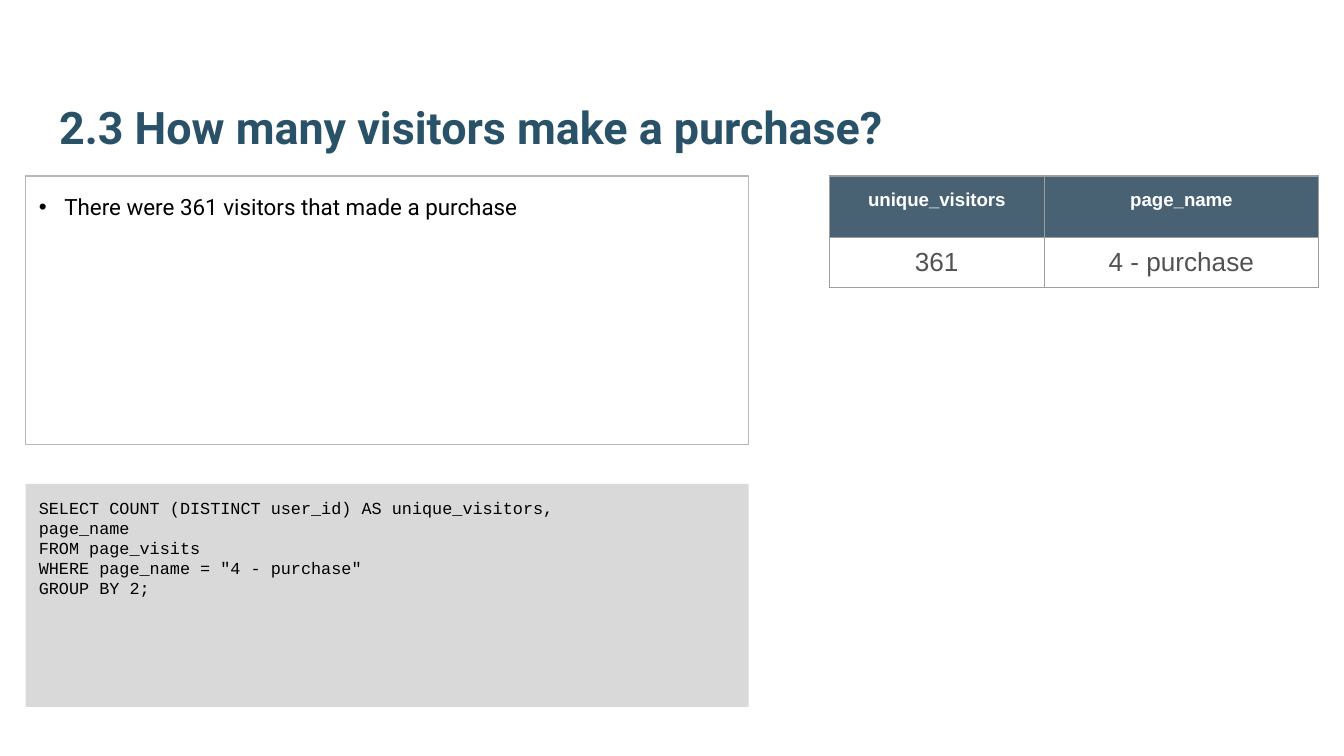
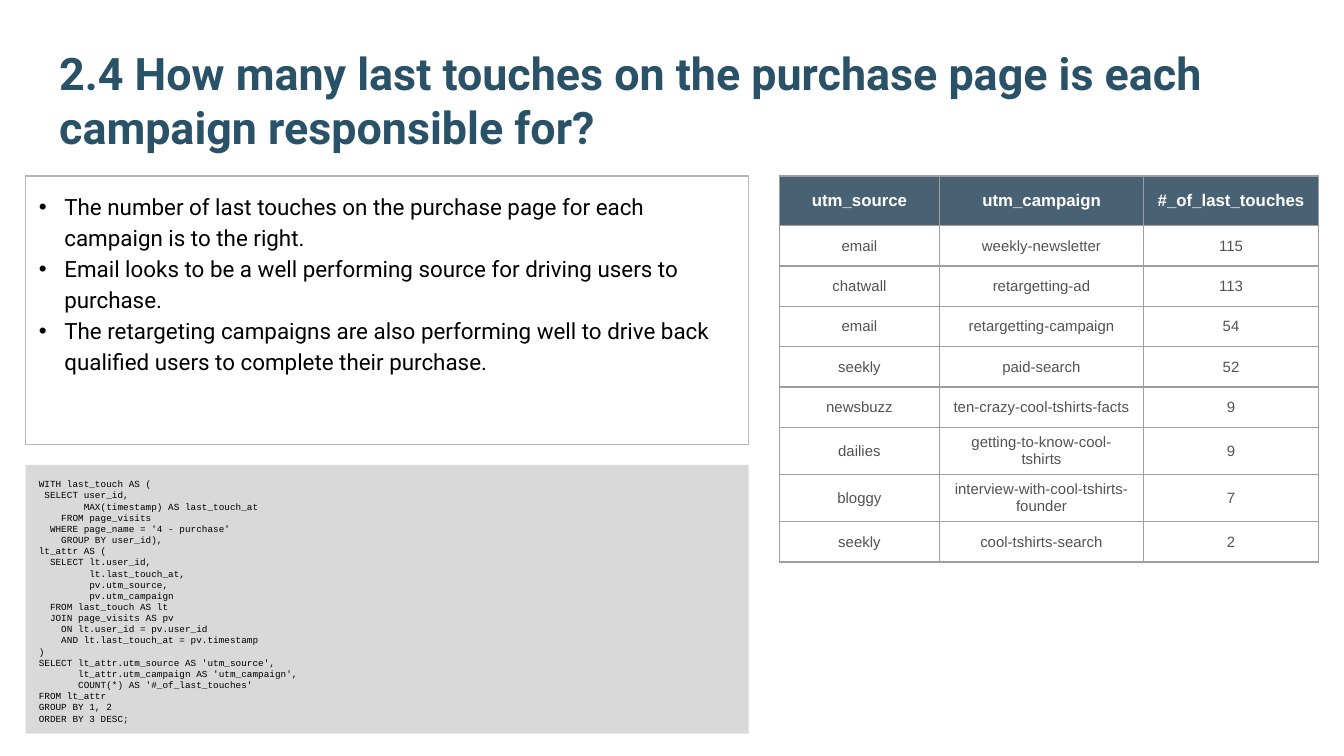
from dataclasses import dataclass
from typing import Any

from lxml.etree import SubElement
from pptx import Presentation
from pptx.dml.color import RGBColor
from pptx.enum.shapes import MSO_SHAPE
from pptx.enum.text import MSO_ANCHOR, MSO_AUTO_SIZE, PP_ALIGN
from pptx.oxml.ns import qn
from pptx.util import Inches, Pt


@dataclass(frozen=True)
class Theme:
    title: str = "295269"
    text: str = "000000"
    code_fill: str = "D9D9D9"
    box_line: str = "B7B7B7"
    header_fill: str = "204056"
    header_alpha: int = 82
    header_text: str = "FFFFFF"
    cell_text: str = "525252"
    grid: str = "9E9E9E"
    line_width: float = 0.75
    title_size: int = 24
    bullet_size: int = 12
    sans: str = "Roboto"
    mono: str = "Courier New"
    table_font: str = "Arial"
    bullet_font: str = "Arial"


@dataclass(frozen=True)
class Box:
    left: float
    top: float
    width: float
    height: float

    def emu(self) -> tuple[int, ...]:
        return tuple(Inches(v) for v in (self.left, self.top, self.width, self.height))


@dataclass(frozen=True)
class CodePanel:
    box: Box
    size: int
    code: str


@dataclass(frozen=True)
class ResultTable:
    cols: list[float]
    header_height: float
    row_height: float
    header_size: int
    body_size: int
    rows: list[list[str]]
    header_format: dict[str, Any]


@dataclass(frozen=True)
class QuestionSlide:
    title: str
    findings: list[str]
    panel: CodePanel
    table: ResultTable


THEME = Theme()
SLIDE_WIDTH = Inches(10)
SLIDE_HEIGHT = SLIDE_WIDTH * 9 // 16
TITLE_BOX = Box(0.34, 0.32, 9.32, 0.92)
FINDINGS_BOX = Box(0.19, 1.31, 5.38, 2)
TABLE_RIGHT = 9.81
BULLET_INDENT = Inches(0.19)
MARGINS = {f"margin_{side}": Inches(0.1) for side in ("left", "top", "right", "bottom")}
MIDDLE = {"vertical_anchor": MSO_ANCHOR.MIDDLE}

SLIDES = [
    QuestionSlide(
        "2.3 How many visitors make a purchase?",
        ["There were 361 visitors that made a purchase"],
        CodePanel(Box(0.19, 3.6, 5.38, 1.66), 9, """\
SELECT COUNT (DISTINCT user_id) AS unique_visitors,
page_name
FROM page_visits
WHERE page_name = "4 - purchase"
GROUP BY 2;"""),
        ResultTable([1.6, 2.04], 0.46, 0.37, 10, 14, [
            ["unique_visitors", "page_name"],
            ["361", "4 - purchase"],
        ], MARGINS),
    ),
    QuestionSlide(
        "2.4 How many last touches on the purchase page is each campaign responsible for?",
        [
            "The number of last touches on the purchase page for each campaign is to the right.",
            "Email looks to be a well performing source for driving users to purchase.",
            "The retargeting campaigns are also performing well to drive back qualified users "
            "to complete their purchase.",
        ],
        CodePanel(Box(0.19, 3.46, 5.38, 2), 5, """\
WITH last_touch AS (
 SELECT user_id,
        MAX(timestamp) AS last_touch_at
    FROM page_visits
  WHERE page_name = '4 - purchase'
    GROUP BY user_id),
lt_attr AS (
  SELECT lt.user_id,
         lt.last_touch_at,
         pv.utm_source,
         pv.utm_campaign
  FROM last_touch AS lt
  JOIN page_visits AS pv
    ON lt.user_id = pv.user_id
    AND lt.last_touch_at = pv.timestamp
)
SELECT lt_attr.utm_source AS 'utm_source',
       lt_attr.utm_campaign AS 'utm_campaign',
       COUNT(*) AS '#_of_last_touches'
FROM lt_attr
GROUP BY 1, 2
ORDER BY 3 DESC;"""),
        ResultTable([1.19, 1.52, 1.3], 0.37, 0.3, 9, 8, [
            ["utm_source", "utm_campaign", "#_of_last_touches"],
            ["email", "weekly-newsletter", "115"],
            ["chatwall", "retargetting-ad", "113"],
            ["email", "retargetting-campaign", "54"],
            ["seekly", "paid-search", "52"],
            ["newsbuzz", "ten-crazy-cool-tshirts-facts", "9"],
            ["dailies", "getting-to-know-cool-tshirts", "9"],
            ["bloggy", "interview-with-cool-tshirts-founder", "7"],
            ["seekly", "cool-tshirts-search", "2"],
        ], MIDDLE),
    ),
]


def apply_format(target: Any, values: dict[str, Any]) -> None:
    for name, value in values.items():
        setattr(target, name, value)


def add_run(p: Any, text: str, font: str, size: int, color: str, bold: bool = False) -> None:
    r = p.add_run()
    r.text = text
    apply_format(r.font, {"name": font, "size": Pt(size), "bold": bold})
    r.font.color.rgb = RGBColor.from_string(color)


def set_title(s: Any, text: str) -> None:
    sp = s.shapes.title
    apply_format(sp, dict(zip(("left", "top", "width", "height"), TITLE_BOX.emu())))
    tf = sp.text_frame
    apply_format(tf, MARGINS | {"word_wrap": True, "auto_size": MSO_AUTO_SIZE.NONE,
                                "vertical_anchor": MSO_ANCHOR.BOTTOM})
    p = tf.paragraphs[0]
    p.alignment = PP_ALIGN.LEFT
    add_run(p, text, THEME.sans, THEME.title_size, THEME.title, bold=True)


def add_panel(s: Any, box: Box, lines: list[str], font: str, size: int) -> Any:
    """Add a top-anchored rectangle with one left-aligned paragraph per line."""
    sp = s.shapes.add_shape(MSO_SHAPE.RECTANGLE, *box.emu())
    sp.shadow.inherit = False
    tf = sp.text_frame
    apply_format(tf, MARGINS | {"word_wrap": True, "vertical_anchor": MSO_ANCHOR.TOP})
    for i, line in enumerate(lines):
        p = tf.add_paragraph() if i else tf.paragraphs[0]
        p.alignment = PP_ALIGN.LEFT
        add_run(p, line, font, size, THEME.text)
    return sp


def add_code(s: Any, panel: CodePanel) -> None:
    sp = add_panel(s, panel.box, panel.code.split("\n"), THEME.mono, panel.size)
    sp.fill.solid()
    sp.fill.fore_color.rgb = RGBColor.from_string(THEME.code_fill)
    sp.line.fill.background()


def add_bullet(p: Any) -> None:
    pPr = p._p.get_or_add_pPr()
    pPr.set("marL", str(BULLET_INDENT))
    pPr.set("indent", str(-BULLET_INDENT))
    SubElement(SubElement(pPr, qn("a:buClr")), qn("a:srgbClr"), val=THEME.text)
    SubElement(pPr, qn("a:buFont"), typeface=THEME.bullet_font)
    SubElement(pPr, qn("a:buChar"), char="•")
    p.line_spacing = 1.15


def add_findings(s: Any, findings: list[str]) -> None:
    sp = add_panel(s, FINDINGS_BOX, findings, THEME.sans, THEME.bullet_size)
    sp.fill.background()
    sp.line.color.rgb = RGBColor.from_string(THEME.box_line)
    sp.line.width = Pt(THEME.line_width)
    for p in sp.text_frame.paragraphs:
        add_bullet(p)


def add_borders(cell: Any) -> None:
    tcPr = cell._tc.get_or_add_tcPr()
    for side in ("L", "R", "T", "B"):
        ln = SubElement(tcPr, qn(f"a:ln{side}"), w=str(Pt(THEME.line_width)))
        SubElement(SubElement(ln, qn("a:solidFill")), qn("a:srgbClr"), val=THEME.grid)


def fill_header(cell: Any) -> None:
    cell.fill.solid()
    cell.fill.fore_color.rgb = RGBColor.from_string(THEME.header_fill)
    color = cell._tc.tcPr.find(qn("a:solidFill")).find(qn("a:srgbClr"))
    SubElement(color, qn("a:alpha"), val=str(THEME.header_alpha * 1000))


def add_results(s: Any, spec: ResultTable) -> None:
    width = sum(spec.cols)
    heights = [spec.header_height] + [spec.row_height] * (len(spec.rows) - 1)
    box = Box(TABLE_RIGHT - width, FINDINGS_BOX.top, width, sum(heights))
    table = s.shapes.add_table(len(heights), len(spec.cols), *box.emu()).table
    apply_format(table, {"first_row": False, "horz_banding": False})
    for col, col_width in zip(table.columns, spec.cols):
        col.width = Inches(col_width)
    for i, (row, height, texts) in enumerate(zip(table.rows, heights, spec.rows)):
        row.height = Inches(height)
        header = i == 0
        size = spec.header_size if header else spec.body_size
        color = THEME.header_text if header else THEME.cell_text
        for cell, text in zip(row.cells, texts):
            apply_format(cell, spec.header_format if header else MIDDLE)
            add_borders(cell)
            if header:
                fill_header(cell)
            else:
                cell.fill.background()
            p = cell.text_frame.paragraphs[0]
            p.alignment = PP_ALIGN.CENTER
            add_run(p, text, THEME.table_font, size, color, bold=header)


def main() -> None:
    prs = Presentation()
    apply_format(prs, {"slide_width": SLIDE_WIDTH, "slide_height": SLIDE_HEIGHT})
    for content in SLIDES:
        s = prs.slides.add_slide(prs.slide_layouts[5])
        set_title(s, content.title)
        add_code(s, content.panel)
        add_findings(s, content.findings)
        add_results(s, content.table)
    prs.save("out.pptx")


if __name__ == "__main__":
    main()
